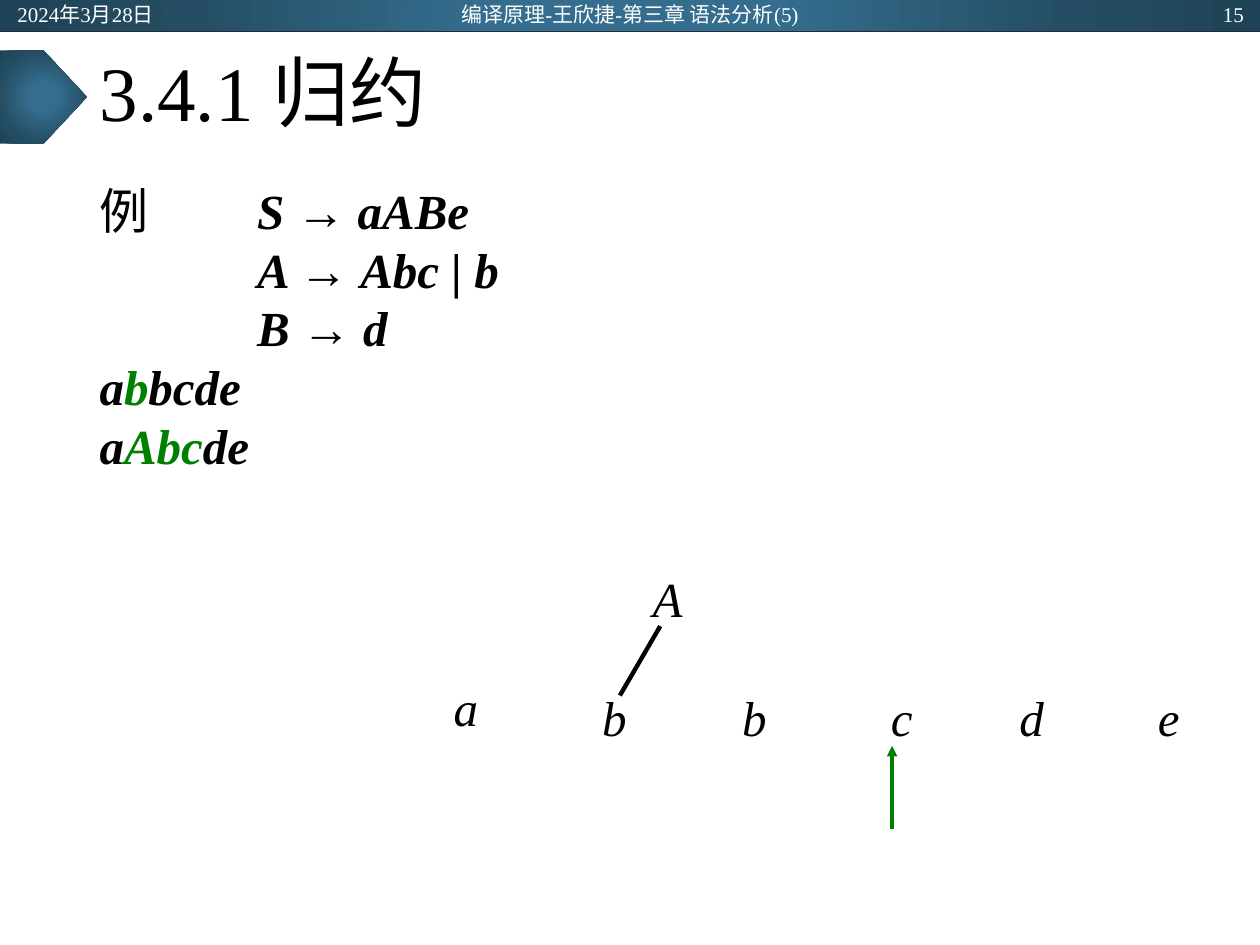
from lxml import etree
from pptx import Presentation
from pptx.dml.color import RGBColor
from pptx.enum.shapes import MSO_CONNECTOR, MSO_SHAPE
from pptx.enum.text import MSO_ANCHOR, MSO_AUTO_SIZE, PP_ALIGN
from pptx.oxml import parse_xml
from pptx.oxml.ns import nsdecls, qn
from pptx.util import Inches, Pt

RECTANGLE, PENTAGON = MSO_SHAPE.RECTANGLE, MSO_SHAPE.PENTAGON
STRAIGHT = MSO_CONNECTOR.STRAIGHT
TOP, MIDDLE = MSO_ANCHOR.TOP, MSO_ANCHOR.MIDDLE
NO_AUTOFIT = MSO_AUTO_SIZE.NONE
LEFT, CENTER, RIGHT = PP_ALIGN.LEFT, PP_ALIGN.CENTER, PP_ALIGN.RIGHT
JUSTIFY = PP_ALIGN.JUSTIFY

BLACK = RGBColor(0x00, 0x00, 0x00)
WHITE = RGBColor(0xFF, 0xFF, 0xFF)
GREEN = RGBColor(0x00, 0x80, 0x00)
RULE = RGBColor(0x22, 0x2A, 0x35)
GRADIENT = [(0, RGBColor(0x34, 0x6D, 0x8E)), (23, RGBColor(0x34, 0x6D, 0x8E)),
            (69, RGBColor(0x25, 0x4E, 0x64)), (97, RGBColor(0x20, 0x44, 0x57))]
FONT = "Times New Roman"

HEADER = [("2024年3月28日", 0.04, 2.25, LEFT),
          ("编译原理-王欣捷-第三章 语法分析(5)", 3.31, 3.38, CENTER),
          ("15", 7.72, 2.25, RIGHT)]
TREE_NODES = [("a", 3.58, 5.37), ("b", 4.76, 5.45), ("A", 5.16, 4.5), ("b", 5.87, 5.45),
              ("c", 7.05, 5.45), ("d", 8.07, 5.45), ("e", 9.17, 5.45)]
# Left-hand label, left side and right side of each production
PRODUCTIONS = [("例\t", "S", "aABe"), ("\t\t", "A", "Abc | b"), ("\t\t", "B", "d")]
# Text before the handle, the handle, text after it
SENTENTIAL_FORMS = [("a", "b", "bcde"), ("a", "Abc", "de")]


def add_span(para, text, size, color=BLACK, bold=False, italic=False):
    span = para.add_run()
    span.text = text
    font = span.font
    font.name, font.size, font.bold, font.italic = FONT, Pt(size), bold, italic
    font.color.rgb = color


def place(box, left, top, width, height):
    box.left, box.top = Inches(left), Inches(top)
    box.width, box.height = Inches(width), Inches(height)


def set_up_frame(frame, anchor, margins=(0.1, 0.05)):
    frame.word_wrap = True
    frame.auto_size = NO_AUTOFIT
    frame.vertical_anchor = anchor
    frame.margin_left = frame.margin_right = Inches(margins[0])
    frame.margin_top = frame.margin_bottom = Inches(margins[1])


def add_label(page, text, area, size, align, anchor, margins, **style):
    box = page.shapes.add_textbox(*map(Inches, area))
    set_up_frame(box.text_frame, anchor, margins)
    para = box.text_frame.paragraphs[0]
    para.alignment = align
    add_span(para, text, size, **style)


def add_gradient_shape(page, kind, *area):
    """Add a borderless shape whose colour spreads out from its centre."""
    shape = page.shapes.add_shape(kind, *map(Inches, area))
    shape.shadow.inherit = False
    shape.line.fill.background()
    stops = "".join(f'<a:gs pos="{percent * 1000}"><a:srgbClr val="{color}"/></a:gs>'
                    for percent, color in GRADIENT)
    fill = parse_xml(
        f'<a:gradFill {nsdecls("a")}><a:gsLst>{stops}</a:gsLst><a:path path="circle">'
        '<a:fillToRect l="50000" t="50000" r="50000" b="50000"/></a:path></a:gradFill>')
    shape._element.spPr.find(qn("a:prstGeom")).addnext(fill)


def add_line(page, start, end, color, width, arrow=False):
    line = page.shapes.add_connector(STRAIGHT, *map(Inches, start + end))
    line.line.color.rgb = color
    line.line.width = Pt(width)
    if arrow:
        etree.SubElement(line.line._get_or_add_ln(), qn("a:tailEnd"), type="triangle")
    etree.SubElement(line._element.spPr, qn("a:effectLst"))


def add_body_para(frame, is_first, align):
    para = frame.paragraphs[0] if is_first else frame.add_paragraph()
    para.alignment = align
    para.space_before = Pt(0)
    props = para._p.get_or_add_pPr()
    props.set("marL", str(Inches(0.25)))
    props.set("indent", str(Inches(-0.25)))
    props.set("defTabSz", str(Inches(1)))
    etree.SubElement(props, qn("a:buNone"))
    return para


def fill_title(title):
    place(title, 0.69, 0.25, 8.62, 1.04)
    set_up_frame(title.text_frame, MIDDLE)
    para = title.text_frame.paragraphs[0]
    para.alignment = LEFT
    para.line_spacing = 0.9
    add_span(para, "3.4.1 归约", 44)


def fill_body(body):
    place(body, 0.69, 1.38, 8.62, 5.38)
    frame = body.text_frame
    set_up_frame(frame, TOP)
    for index, (label, left_side, right_side) in enumerate(PRODUCTIONS):
        para = add_body_para(frame, index == 0, JUSTIFY if index else LEFT)
        add_span(para, label, 28)
        add_span(para, left_side + " ", 28, bold=True, italic=True)
        add_span(para, "→ ", 28, bold=True)
        add_span(para, right_side, 28, bold=True, italic=True)
    for form in SENTENTIAL_FORMS:
        para = add_body_para(frame, False, JUSTIFY)
        for text, color in zip(form, (BLACK, GREEN, BLACK)):
            add_span(para, text, 28, color, bold=True, italic=True)


def add_parse_tree(page):
    for symbol, left, top in TREE_NODES:
        add_label(page, symbol, (left, top, 0.5, 0.55), 28, JUSTIFY, TOP,
                  (0.02, 0.01), italic=True)
    add_line(page, (4.92, 5.52), (5.24, 4.97), BLACK, 2.5)
    add_line(page, (7.08, 6.58), (7.08, 5.92), GREEN, 2, arrow=True)


def main():
    deck = Presentation()
    deck.slide_width, deck.slide_height = Inches(10), Inches(7.5)
    page = deck.slides.add_slide(deck.slide_layouts[1])
    add_gradient_shape(page, RECTANGLE, 0, 0, 10, 0.25)
    add_line(page, (0, 0.25), (10, 0.25), RULE, 0.5)
    add_gradient_shape(page, PENTAGON, 0, 0.4, 0.69, 0.74)
    fill_title(page.shapes.title)
    fill_body(page.placeholders[1])
    add_parse_tree(page)
    for text, left, width, align in HEADER:
        add_label(page, text, (left, 0.01, width, 0.2), 12, align, MIDDLE,
                  (0.1, 0.05), color=WHITE)
    deck.save("out.pptx")


if __name__ == "__main__":
    main()
